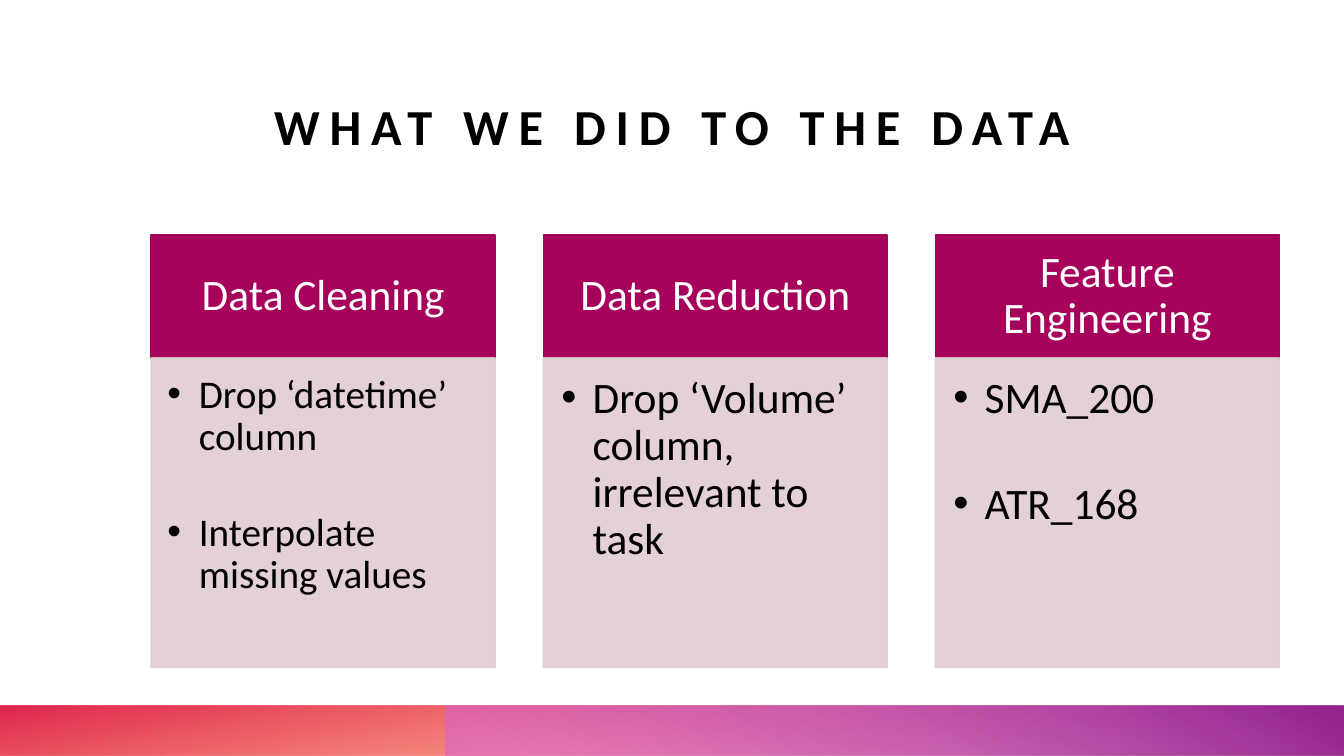
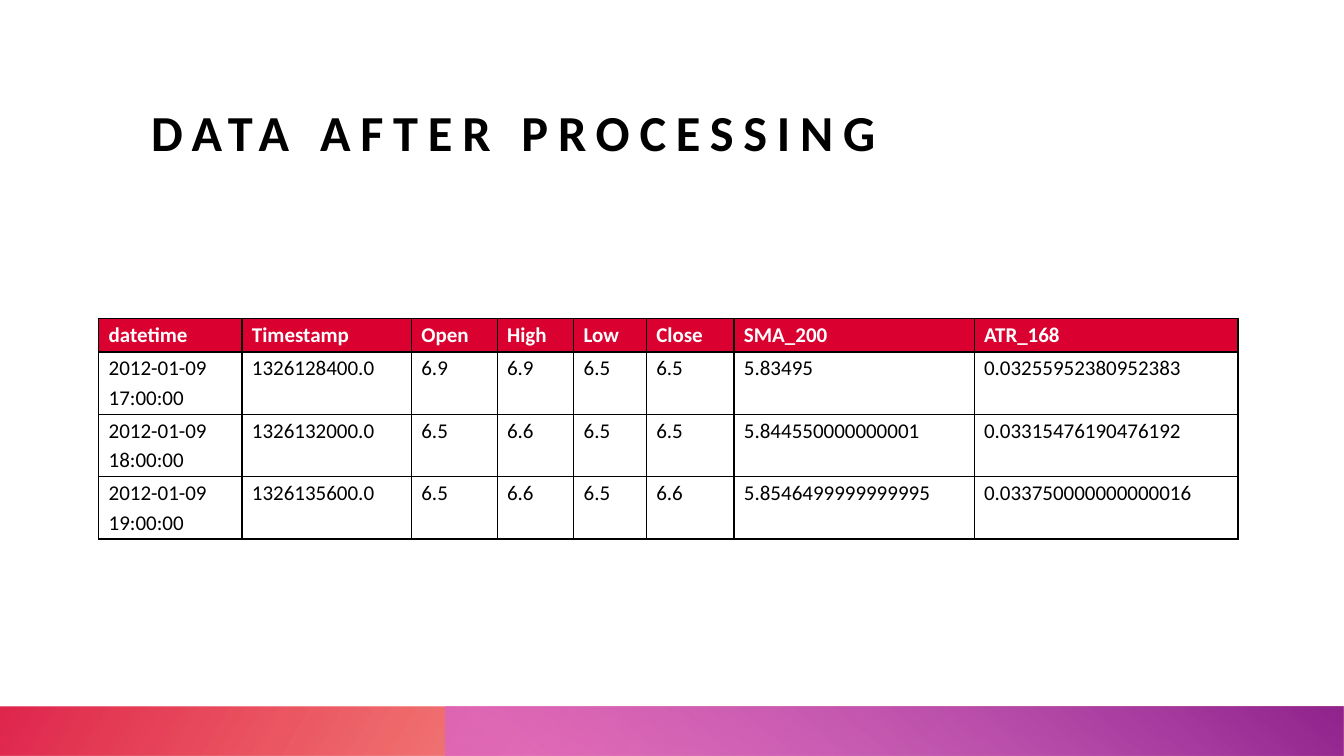
from lxml.etree import SubElement
from pptx import Presentation
from pptx.dml.color import RGBColor
from pptx.enum.shapes import MSO_SHAPE
from pptx.enum.text import MSO_ANCHOR, MSO_AUTO_SIZE, PP_ALIGN
from pptx.oxml.ns import qn
from pptx.util import Cm, Pt

FONT = "Calibri"
BLACK, WHITE = "000000", "FFFFFF"
MAGENTA, ROSE, RED = "A6025C", "E1CCD2", "DA002F"
SLIDE_WIDTH, SLIDE_HEIGHT = 33.87, 19.05


def color(hex_string):
    return RGBColor.from_string(hex_string)


def set_font(paragraph, size, hex_string, bold=False):
    font = paragraph.font
    font.name, font.size, font.bold = FONT, Pt(size), bold
    font.color.rgb = color(hex_string)


def set_margins(target, left, top, right, bottom):
    target.margin_left, target.margin_top = Cm(left), Cm(top)
    target.margin_right, target.margin_bottom = Cm(right), Cm(bottom)


def set_alpha(color_element, percent):
    SubElement(color_element, qn("a:alpha")).set("val", str(percent * 1000))


def add_box(slide, left, top, width, height):
    shape = slide.shapes.add_shape(
        MSO_SHAPE.RECTANGLE, Cm(left), Cm(top), Cm(width), Cm(height))
    shape.shadow.inherit = False
    return shape


# Shared parts: title and footer bands
def add_titled_slide(presentation, title, box, alignment):
    slide = presentation.slides.add_slide(presentation.slide_layouts[5])
    shape = slide.shapes.title
    shape.left, shape.top, shape.width, shape.height = map(Cm, box)
    frame = shape.text_frame
    frame.text = title
    frame.word_wrap = True
    frame.auto_size = MSO_AUTO_SIZE.NONE
    frame.vertical_anchor = MSO_ANCHOR.BOTTOM
    set_margins(frame, 0, 0, 0, 0)
    paragraph = frame.paragraphs[0]
    paragraph.alignment = alignment
    set_font(paragraph, 36, BLACK, bold=True)
    paragraph.runs[0]._r.get_or_add_rPr().set("spc", "700")
    return slide


def add_band(slide, left, top, angle, stops, rotation=0):
    """Mirrored gradient band reaching the right and bottom slide edges."""
    shape = add_box(slide, left, top, SLIDE_WIDTH - left, SLIDE_HEIGHT - top)
    shape.rotation = rotation
    shape._element.spPr.find(qn("a:xfrm")).set("flipH", "1")
    shape.line.fill.background()
    shape.fill.gradient()
    shape.fill.gradient_angle = 360 - angle
    for stop, (position, hex_string, _) in zip(shape.fill.gradient_stops, stops):
        stop.position = position
        stop.color.rgb = color(hex_string)
    color_elements = shape._element.spPr.iter(qn("a:srgbClr"))
    for element, (_, _, opacity) in zip(list(color_elements), stops):
        set_alpha(element, opacity)


def add_footer(slide, top, red_angle, purple_angle, pink_opacity):
    add_band(slide, 0, top, red_angle,
             [(0.14, "FE4A00", 28), (1, RED, 85)], rotation=180)
    add_band(slide, 11.23, top, purple_angle,
             [(0.09, "D861D4", pink_opacity), (0.99, "92248E", 100)])


# Column card: heading above a bulleted list
def add_card(slide, left, top, width, height, heading, bullets, size):
    heading_height = 3.1
    header = add_box(slide, left, top, width, heading_height)
    body = add_box(slide, left, top + heading_height,
                   width, height - heading_height)
    for shape, fill in ((header, MAGENTA), (body, ROSE)):
        shape.fill.solid()
        shape.fill.fore_color.rgb = color(fill)
        shape.line.color.rgb = color(fill)
        shape.line.width = Pt(1)
        shape.text_frame.word_wrap = True
    for element in list(body._element.spPr.iter(qn("a:srgbClr"))):
        set_alpha(element, 90)

    frame = header.text_frame
    frame.text = heading
    frame.vertical_anchor = MSO_ANCHOR.MIDDLE
    set_margins(frame, 0.61, 0.36, 0.61, 0.36)
    paragraph = frame.paragraphs[0]
    paragraph.alignment = PP_ALIGN.CENTER
    paragraph.line_spacing = 0.9
    set_font(paragraph, 31, WHITE)

    frame = body.text_frame
    frame.text = "\n".join(bullets)
    frame.vertical_anchor = MSO_ANCHOR.TOP
    inset = size / 68
    set_margins(frame, inset, inset, size / 50, size / 45)
    for paragraph in frame.paragraphs:
        properties = paragraph._p.get_or_add_pPr()
        properties.set("marL", str(Cm(0.79)))
        properties.set("indent", str(-Cm(0.79)))
        SubElement(properties, qn("a:buFont")).set("typeface", "Arial")
        SubElement(properties, qn("a:buChar")).set("char", "•")
        paragraph.alignment = PP_ALIGN.LEFT
        paragraph.line_spacing = 0.9
        paragraph.space_after = Pt(round(size * 1.34))
        set_font(paragraph, size, BLACK)


# Data table
def set_borders(cell):
    properties = cell._tc.get_or_add_tcPr()
    for side in ("lnL", "lnR", "lnT", "lnB"):
        line = SubElement(properties, qn(f"a:{side}"))
        line.set("w", str(Pt(1)))
        fill = SubElement(line, qn("a:solidFill"))
        SubElement(fill, qn("a:srgbClr")).set("val", BLACK)


def add_data_table(slide, left, top, column_widths, row_heights, rows):
    table = slide.shapes.add_table(
        len(rows), len(column_widths), Cm(left), Cm(top),
        Cm(sum(column_widths)), Cm(sum(row_heights))).table
    table.horz_banding = False
    for column, width in zip(table.columns, column_widths):
        column.width = Cm(width)
    for row_index, (row, height) in enumerate(zip(table.rows, row_heights)):
        row.height = Cm(height)
        is_header = row_index == 0
        for cell, value in zip(row.cells, rows[row_index]):
            cell.text = value
            set_margins(cell, 0.25, 0, 0.25, 0)
            set_borders(cell)
            if is_header:
                cell.fill.solid()
                cell.fill.fore_color.rgb = color(RED)
            else:
                cell.fill.background()
            paragraph = cell.text_frame.paragraphs[0]
            paragraph.line_spacing = 1.15
            paragraph.space_after = Pt(8)
            set_font(paragraph, 15, WHITE if is_header else BLACK, is_header)


def build_steps_slide(presentation):
    slide = add_titled_slide(presentation, "WHAT WE DID TO THE DATA",
                             (2.72, 1.32, 28.45, 2.59), PP_ALIGN.CENTER)
    add_footer(slide, 17.78, 100, 240, 55)
    cards = [
        ("Data Cleaning",
         ["Drop ‘datetime’ column", "Interpolate missing values"], 28),
        ("Data Reduction", ["Drop ‘Volume’ column, irrelevant to task"], 31),
        ("Feature Engineering", ["SMA_200", "ATR_168"], 31),
    ]
    width, gap = 8.67, 1.21
    for index, card in enumerate(cards):
        add_card(slide, 3.81 + index * (width + gap), 5.92, width, 10.9, *card)


def build_table_slide(presentation):
    slide = add_titled_slide(presentation, "DATA AFTER PROCESSING",
                             (3.81, 1.27, 26.52, 2.79), PP_ALIGN.LEFT)
    add_footer(slide, 17.8, 150, 230, 68)
    rows = [
        ["datetime", "Timestamp", "Open", "High", "Low", "Close",
         "SMA_200", "ATR_168"],
        ["2012-01-09 17:00:00", "1326128400.0", "6.9", "6.9", "6.5", "6.5",
         "5.83495", "0.03255952380952383"],
        ["2012-01-09 18:00:00", "1326132000.0", "6.5", "6.6", "6.5", "6.5",
         "5.844550000000001", "0.03315476190476192"],
        ["2012-01-09 19:00:00", "1326135600.0", "6.5", "6.6", "6.5", "6.6",
         "5.8546499999999995", "0.033750000000000016"],
    ]
    add_data_table(slide, 2.49, 8.03,
                   [3.61, 4.27, 2.16, 1.93, 1.83, 2.21, 6.05, 6.65],
                   [0.84] + [1.57] * 3, rows)


def main():
    presentation = Presentation()
    presentation.slide_width = Cm(SLIDE_WIDTH)
    presentation.slide_height = Cm(SLIDE_HEIGHT)
    build_steps_slide(presentation)
    build_table_slide(presentation)
    presentation.save("out.pptx")


if __name__ == "__main__":
    main()
